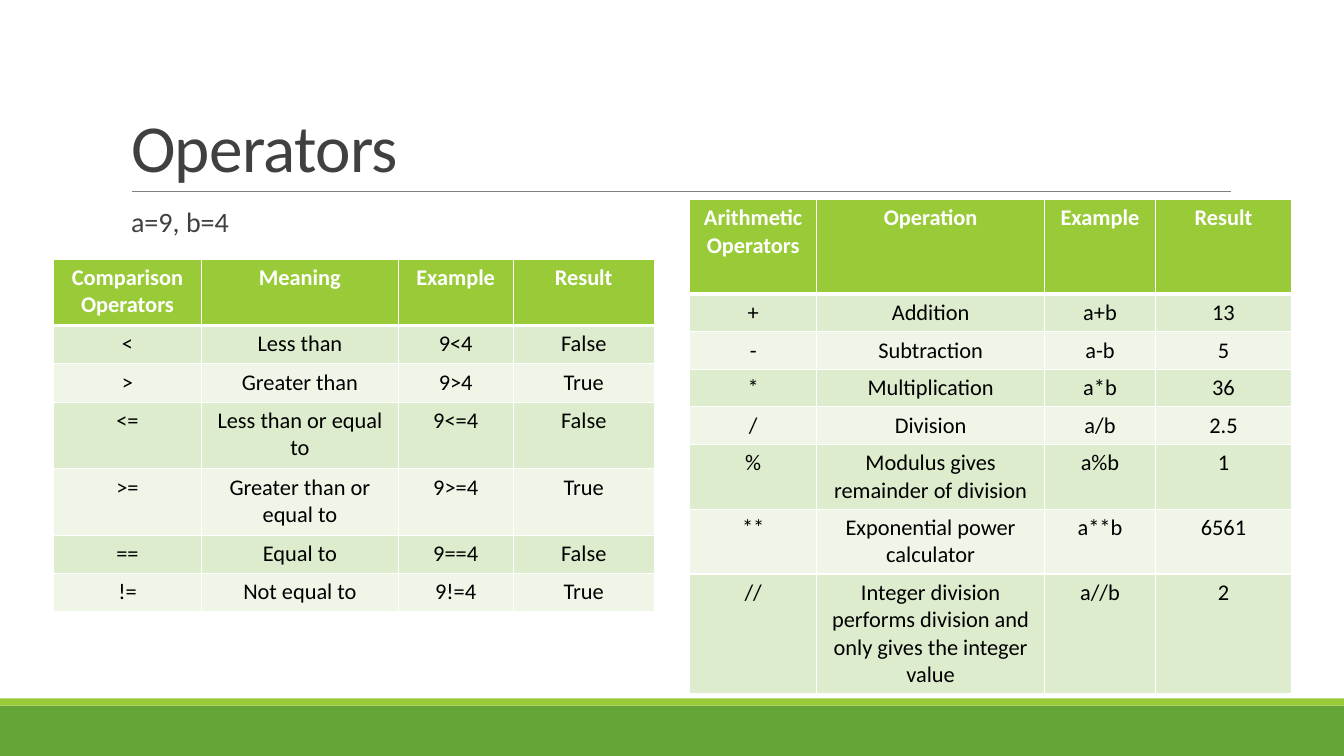
from dataclasses import dataclass

from lxml.etree import SubElement
from pptx import Presentation
from pptx.dml.color import RGBColor as RGB
from pptx.enum.shapes import MSO_CONNECTOR as Connector, MSO_SHAPE as Shape
from pptx.enum.text import MSO_ANCHOR as Anchor, MSO_AUTO_SIZE as AutoSize, PP_ALIGN as Align
from pptx.oxml.ns import qn
from pptx.util import Inches, Pt


@dataclass(frozen=True)
class Theme:
    font: str = "Calibri"
    white: str = "FFFFFF"
    black: str = "000000"
    heading: str = "404040"
    rule: str = "808080"
    footer: str = "63A537"
    accent: str = "99CB38"
    bands: tuple = ("DEECCE", "EFF6E8")
    title_size: int = 48
    body_size: int = 20
    table_size: int = 16


def apply(target, values):
    for name, value in values.items():
        setattr(target, name, value)


class SlideBuilder:
    def __init__(self, slide, theme):
        self.slide = slide
        self.theme = theme

    def add_text(self, paragraph, text, size, color, bold=False, **layout):
        run = paragraph.add_run()
        run.text = text
        apply(run.font, {"name": self.theme.font, "size": Pt(size), "bold": bold})
        run.font.color.rgb = RGB.from_string(color)
        apply(paragraph, layout)
        return run

    def place(self, holder, left, top, width, height, **frame):
        apply(holder, {"left": Inches(left), "top": Inches(top),
                       "width": Inches(width), "height": Inches(height)})
        apply(holder.text_frame, {"word_wrap": True, "auto_size": AutoSize.NONE, **frame})
        return holder.text_frame.paragraphs[0]

    def band(self, top, height, color):
        bar = self.slide.shapes.add_shape(
            Shape.RECTANGLE, Inches(0), Inches(top), Inches(13.33), Inches(height))
        bar.shadow.inherit = False
        bar.fill.solid()
        bar.fill.fore_color.rgb = RGB.from_string(color)
        bar.line.fill.background()

    def rule(self, left, right, y):
        divider = self.slide.shapes.add_connector(
            Connector.STRAIGHT, Inches(left), Inches(y), Inches(right), Inches(y))
        divider.line.color.rgb = RGB.from_string(self.theme.rule)
        divider.line.width = Pt(0.5)
        SubElement(divider._element.spPr, qn("a:effectLst"))

    def title(self, text, *box):
        heading = self.place(self.slide.shapes.title, *box, vertical_anchor=Anchor.BOTTOM)
        run = self.add_text(heading, text, self.theme.title_size, self.theme.heading,
                            alignment=Align.LEFT, line_spacing=0.85)
        run.font._element.set("spc", "-50")

    def body(self, text, *box):
        values = self.place(self.slide.placeholders[1], *box, vertical_anchor=Anchor.TOP,
                            margin_left=0, margin_right=0)
        self.add_text(values, text, self.theme.body_size, self.theme.heading,
                      alignment=Align.LEFT, line_spacing=0.9,
                      space_before=Pt(12), space_after=Pt(2))
        properties = values._p.get_or_add_pPr()
        properties.set("marL", str(Inches(0.1)))
        properties.set("indent", str(Inches(-0.1)))
        bullet_color = SubElement(properties, qn("a:buClr"))
        SubElement(bullet_color, qn("a:srgbClr"), val=self.theme.accent)
        SubElement(properties, qn("a:buChar"), char=" ")

    def borders(self, cell, widths):
        properties = cell._tc.get_or_add_tcPr()
        for position, (side, width) in enumerate(widths.items()):
            edge = SubElement(properties, qn(f"a:ln{side}"), w=str(Pt(width)))
            fill = SubElement(edge, qn("a:solidFill"))
            SubElement(fill, qn("a:srgbClr"), val=self.theme.white)
            properties.insert(position, edge)

    def table(self, left, top, widths, heights, rows):
        grid = self.slide.shapes.add_table(
            len(rows), len(widths), Inches(left), Inches(top),
            Inches(sum(widths)), Inches(sum(heights))).table
        for column, width in zip(grid.columns, widths):
            column.width = Inches(width)
        for r, (entries, height) in enumerate(zip(rows, heights)):
            grid.rows[r].height = Inches(height)
            header = r == 0
            fill = self.theme.accent if header else self.theme.bands[(r - 1) % 2]
            color = self.theme.white if header else self.theme.black
            edges = {"L": 1, "R": 1, "T": 3 if r == 1 else 1, "B": 3 if header else 1}
            for c, entry in enumerate(entries):
                cell = grid.cell(r, c)
                cell.fill.solid()
                cell.fill.fore_color.rgb = RGB.from_string(fill)
                self.add_text(cell.text_frame.paragraphs[0], entry, self.theme.table_size,
                              color, header, alignment=Align.CENTER)
                self.borders(cell, edges)


ARITHMETIC = [
    ("Arithmetic Operators", "Operation", "Example", "Result"),
    ("+", "Addition", "a+b", "13"),
    ("-", "Subtraction", "a-b", "5"),
    ("*", "Multiplication", "a*b", "36"),
    ("/", "Division", "a/b", "2.5"),
    ("%", "Modulus gives remainder of division", "a%b", "1"),
    ("**", "Exponential power calculator", "a**b", "6561"),
    ("//", "Integer division performs division and only gives the integer value", "a//b", "2"),
]

COMPARISON = [
    ("Comparison Operators", "Meaning", "Example", "Result"),
    ("<", "Less than", "9<4", "False"),
    (">", "Greater than", "9>4", "True"),
    ("<=", "Less than or equal to", "9<=4", "False"),
    (">=", "Greater than or equal to", "9>=4", "True"),
    ("==", "Equal to", "9==4", "False"),
    ("!=", "Not equal to", "9!=4", "True"),
]


def main():
    deck = Presentation()
    apply(deck, {"slide_width": Inches(13.33), "slide_height": Inches(7.5)})
    theme = Theme()
    operators = SlideBuilder(deck.slides.add_slide(deck.slide_layouts[1]), theme)
    operators.band(7, 0.5, theme.footer)
    operators.band(6.93, 0.07, theme.accent)
    operators.rule(1.31, 12.21, 1.9)
    operators.title("Operators", 1.2, 0.31, 11, 1.59)
    operators.body("a=9, b=4", 1.2, 2.02, 11, 4.4)
    operators.table(6.84, 1.98, (1.26, 2.26, 1.1, 1.35),
                    [0.94] + [0.36] * 4 + [0.6] * 2 + [1.1], ARITHMETIC)
    operators.table(0.53, 2.57, (1.47, 1.95, 1.14, 1.4),
                    [0.66] + [0.38] * 2 + [0.66] * 2 + [0.38] * 2, COMPARISON)
    deck.save("out.pptx")


if __name__ == "__main__":
    main()
